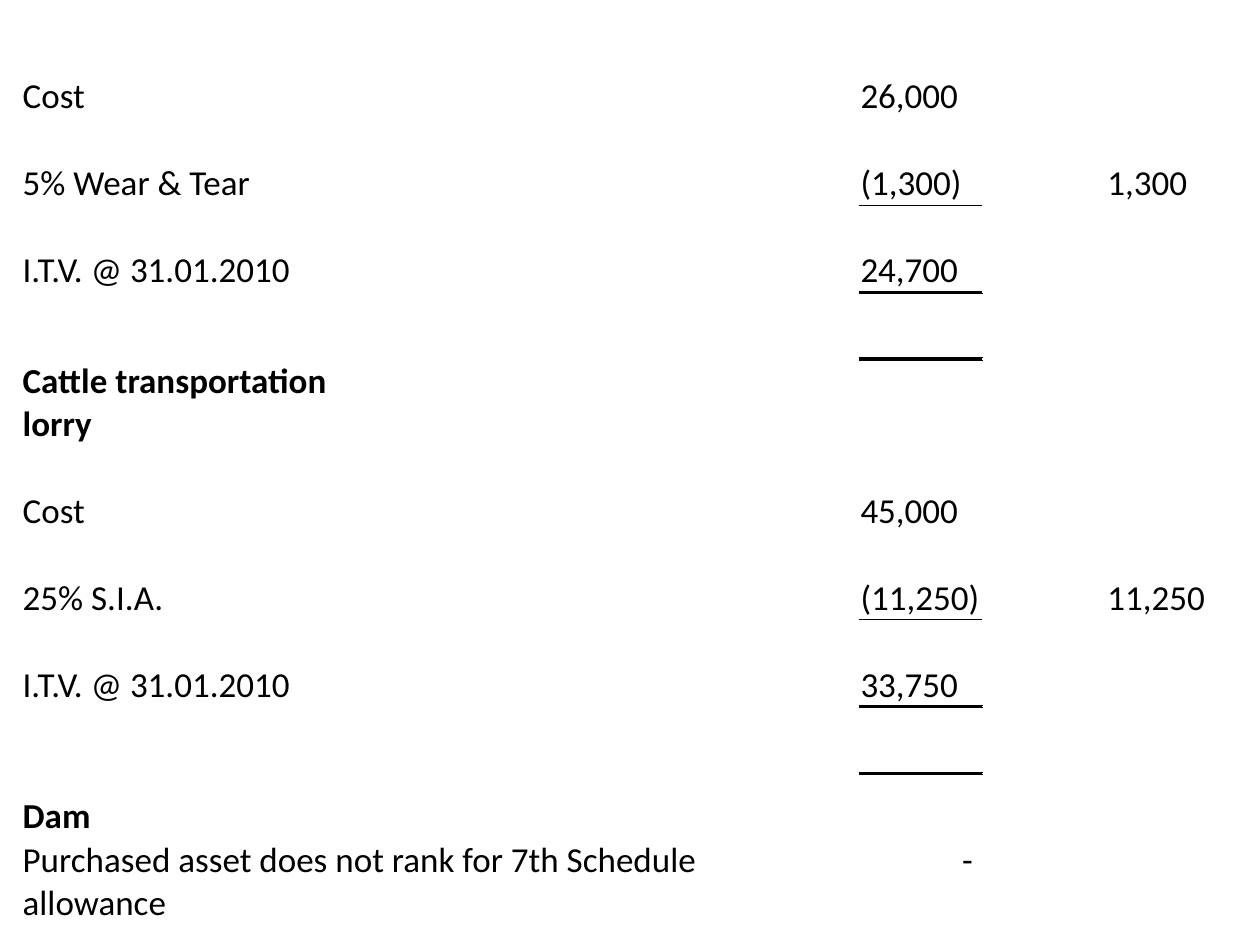
"""Build a slide with a tax allowance schedule for farm assets."""
from dataclasses import dataclass

from lxml import etree
from pptx import Presentation, util as u
from pptx.dml.color import RGBColor
from pptx.enum import text
from pptx.oxml import ns
from pptx.table import Table, _Cell

COLOURS = {"ink": "000000"}
FONT, SIZE = "Calibri", 20
WIDTH, HEIGHT = 10, 7.5
LEFT, TOP = 0.17, 0.25
LABEL_WIDTH, STEP = 2.73, 0.98
COLUMNS, VALUE, ALLOWANCE = 8, 5, 7
TALL, SHORT, GAP = 0.69, 0.51, 0.53
THIN, THICK = 0.5, 2


@dataclass(frozen=True)
class Entry:
    label: str = ""
    value: str = ""
    allowance: str = ""
    height: float = TALL
    bold: bool = False
    rule: float = 0
    span: int = 1


def asset(cost: str, rate: str, deduction: str, balance: str) -> list[Entry]:
    return [
        Entry("Cost", cost),
        Entry(rate, f"({deduction})", deduction, rule=THIN),
        Entry("I.T.V. @ 31.01.2010", balance, rule=THICK),
        Entry(height=GAP),
    ]


ENTRIES = [
    *asset("26,000", "5% Wear & Tear", "1,300", "24,700"),
    Entry("Cattle transportation lorry", bold=True),
    *asset("45,000", "25% S.I.A.", "11,250", "33,750"),
    Entry("Dam", height=SHORT, bold=True),
    Entry("Purchased asset does not rank for 7th Schedule allowance", "-", span=4),
]


def write(cell: _Cell, words: str, bold: bool = False) -> None:
    cell.margin_left = cell.margin_right = cell.margin_top = u.Inches(0.01)
    cell.margin_bottom = 0
    cell.vertical_anchor = text.MSO_ANCHOR.BOTTOM
    para = cell.text_frame.paragraphs[0]
    if words == "-":
        cell.vertical_anchor = text.MSO_ANCHOR.TOP
        cell.margin_right = u.Inches(0.08)
        para.alignment = text.PP_ALIGN.RIGHT
    span = para.add_run()
    span.text = words
    span.font.name, span.font.size, span.font.bold = FONT, u.Pt(SIZE), bold
    span.font.color.rgb = RGBColor.from_string(COLOURS["ink"])


def border(cell: _Cell, side: str, points: float) -> None:
    line = etree.Element(ns.qn(f"a:ln{side}"), w=str(u.Pt(points)))
    fill = etree.SubElement(line, ns.qn("a:solidFill"))
    etree.SubElement(fill, ns.qn("a:srgbClr"), val=COLOURS["ink"])
    cell._tc.get_or_add_tcPr().insert(0, line)


def fill_row(table: Table, row: int, entry: Entry) -> None:
    table.rows[row].height = u.Inches(entry.height)
    if entry.span > 1:
        table.cell(row, 0).merge(table.cell(row, entry.span - 1))
    for column in range(COLUMNS):
        table.cell(row, column).fill.background()
    if entry.label:
        write(table.cell(row, 0), entry.label, entry.bold)
    for column, words in ((VALUE, entry.value), (ALLOWANCE, entry.allowance)):
        if words:
            write(table.cell(row, column), words)
    if entry.rule:
        border(table.cell(row, VALUE), "B", entry.rule)
    if row and ENTRIES[row - 1].rule:
        border(table.cell(row, VALUE), "T", ENTRIES[row - 1].rule)


def main() -> None:
    deck = Presentation()
    deck.slide_width, deck.slide_height = u.Inches(WIDTH), u.Inches(HEIGHT)
    page = deck.slides.add_slide(deck.slide_layouts[6])
    widths = [LABEL_WIDTH] + [STEP] * (COLUMNS - 1)
    total = sum(entry.height for entry in ENTRIES)
    table = page.shapes.add_table(
        len(ENTRIES), COLUMNS, u.Inches(LEFT), u.Inches(TOP),
        u.Inches(sum(widths)), u.Inches(total),
    ).table
    table.first_row = table.horz_banding = False
    for column, width in zip(table.columns, widths):
        column.width = u.Inches(width)
    for row, entry in enumerate(ENTRIES):
        fill_row(table, row, entry)
    deck.save("out.pptx")


if __name__ == "__main__":
    main()
